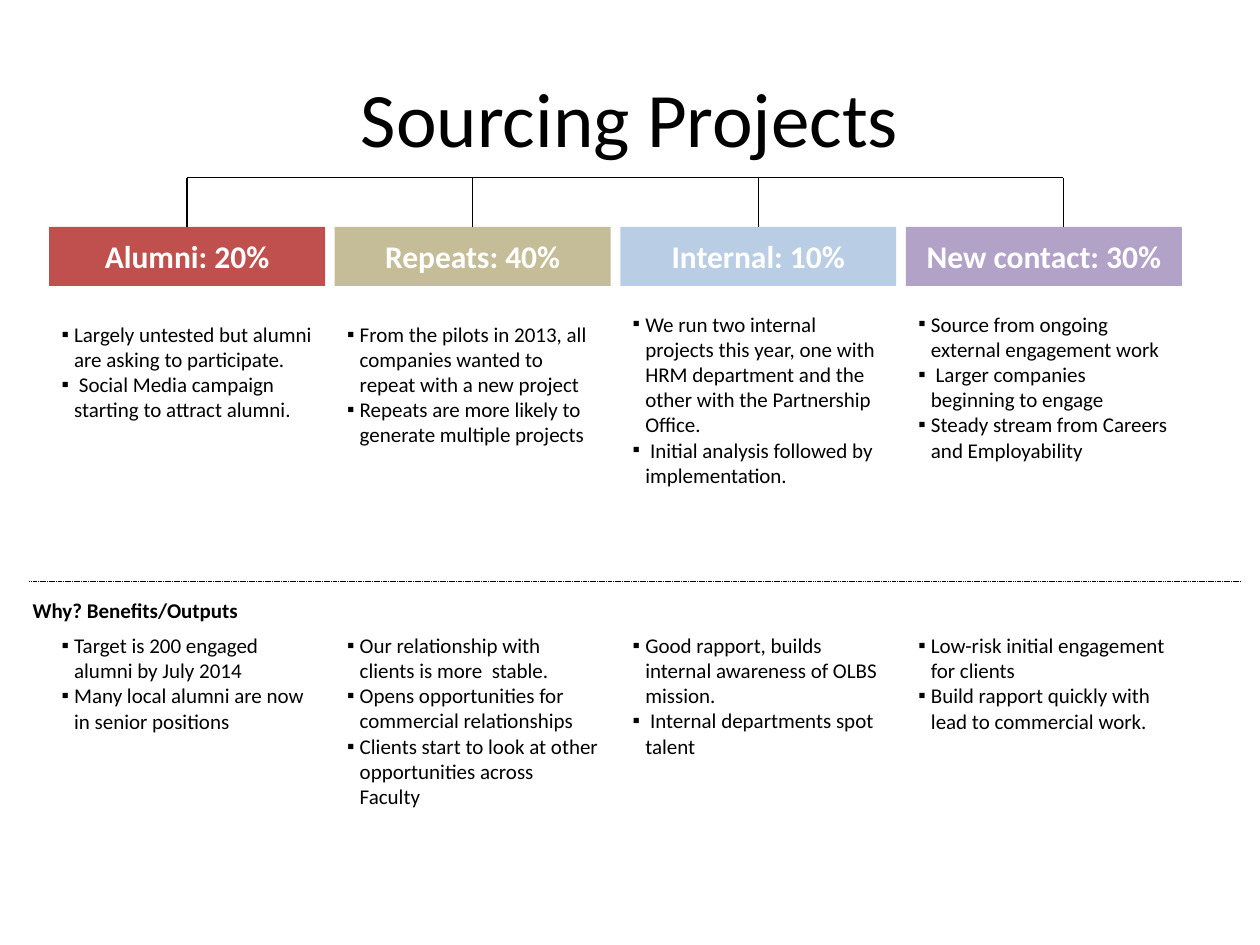
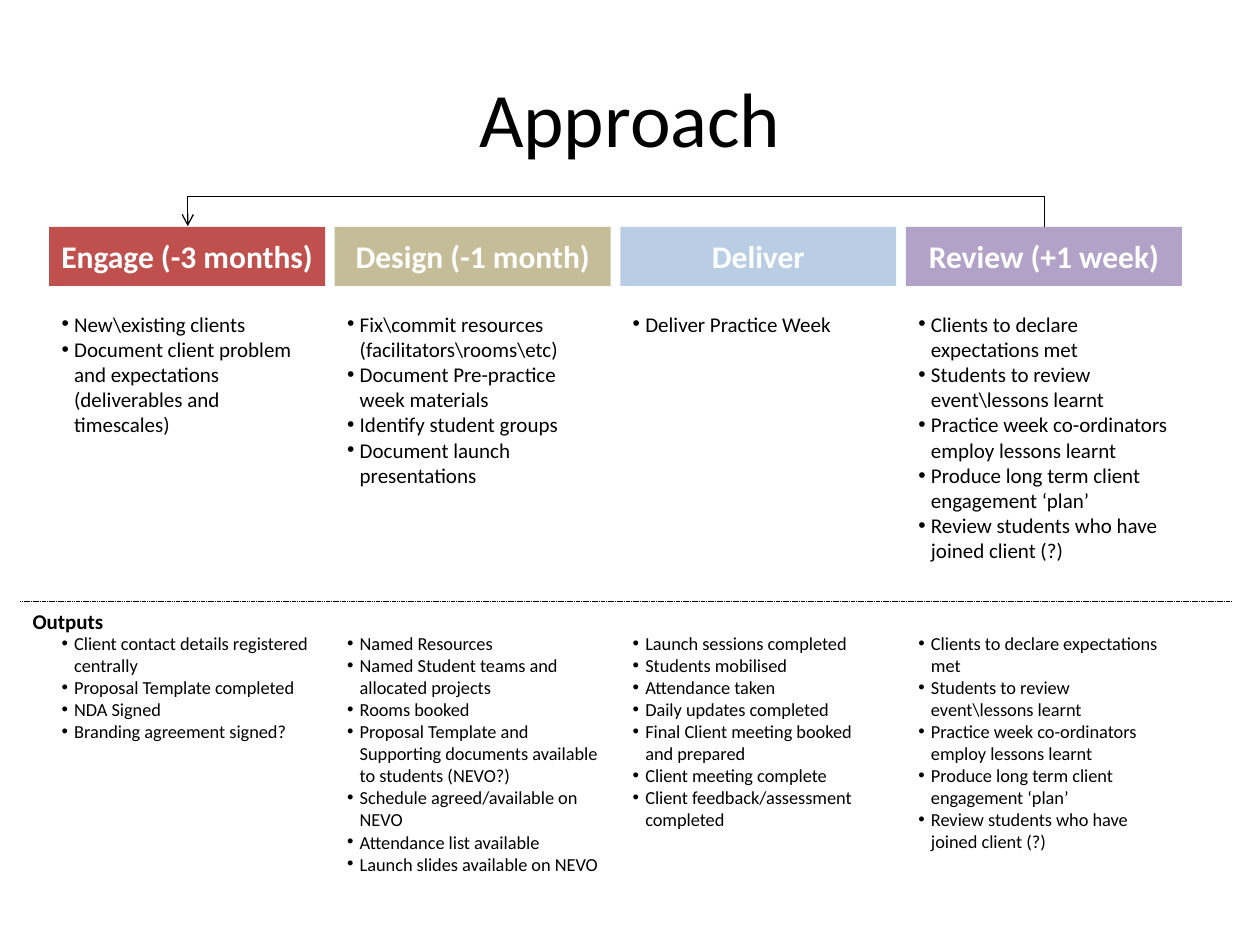
from pptx import Presentation
from pptx.dml.color import RGBColor as RGB
from pptx.enum.dml import MSO_LINE as Dash
from pptx.enum.shapes import MSO_CONNECTOR as Link, MSO_SHAPE as Shape
from pptx.enum.text import MSO_ANCHOR as Anchor, MSO_AUTO_SIZE as Auto, PP_ALIGN as Align
from pptx.oxml.ns import qn
from pptx.util import Inches, Pt
from lxml.etree import SubElement as Sub

hues = {"red": "C0504D", "tan": "C4BD97", "blue": "B9CDE5",
        "plum": "B3A2C7", "ink": "000000", "white": "FFFFFF"}
bands = ["red", "tan", "blue", "plum"]
font = "Calibri"
left, wide, step = 0.39, 2.19, 6.8 / 3
top, tall = 1.8, 0.47
mids = [left + wide / 2 + i * step for i in range(4)]

review = ["Clients to declare expectations met ",
          "Students to review event\\lessons learnt",
          "Practice week co-ordinators employ lessons learnt",
          "Produce long term client engagement ‘plan’",
          "Review students who have joined client (?)"]

pages = [
    {"title": "Sourcing Projects", "mark": "▪", "size": 12,
     "heads": ["Alumni: 20%", "Repeats: 40%", "Internal: 10%", "New contact: 30%"],
     "label": "Why? Benefits/Outputs", "label_y": 4.69, "rule": (0.23, 4.61),
     "upper": [
         (2.5, 0.91, ["Largely untested but alumni are asking to participate. ",
                      " Social Media campaign starting to attract alumni."]),
         (2.5, 1.11, ["From the pilots in 2013, all companies wanted to repeat with a new project",
                      "Repeats are more likely to generate multiple projects"]),
         (2.42, 1.51, ["We run two internal projects this year, one with HRM department "
                       "and the other with the Partnership Office.",
                       " Initial analysis followed by implementation."]),
         (2.42, 1.31, ["Source from ongoing external engagement work",
                       " Larger companies beginning to engage",
                       "Steady stream from Careers and Employability"])],
     "lower": [
         (4.97, 0.91, ["Target is 200 engaged alumni by July 2014",
                       "Many local alumni are now in senior positions"]),
         (4.97, 1.87, ["Our relationship with clients is more  stable.",
                       "Opens opportunities for commercial relationships",
                       "Clients start to look at other opportunities across Faculty"]),
         (4.97, 1.46, ["Good rapport, builds internal awareness of OLBS mission.",
                       " Internal departments spot talent"]),
         (4.97, 0.91, ["Low-risk initial engagement for clients",
                       "Build rapport quickly with lead to commercial work."])]},
    {"title": "Approach", "mark": "•", "size": 10.5,
     "heads": ["Engage (-3 months)", "Design (-1 month)", "Deliver", "Review (+1 week)"],
     "label": "Outputs", "label_y": 4.78, "rule": (0.16, 4.77),
     "upper": [
         (2.42, 1.11, ["New\\existing clients",
                       "Document client problem and expectations (deliverables and timescales)"]),
         (2.42, 1.51, ["Fix\\commit resources (facilitators\\rooms\\etc)",
                       "Document Pre-practice week materials",
                       "Identify student groups",
                       "Document launch presentations"]),
         (2.42, 0.3, ["Deliver Practice Week"]),
         (2.42, 2.12, review)],
     "lower": [
         (4.97, 0.98, ["Client contact details registered centrally",
                       "Proposal Template completed",
                       "NDA Signed",
                       "Branding agreement signed?"]),
         (4.97, 2.22, ["Named Resources",
                       "Named Student teams and allocated projects",
                       "Rooms booked",
                       "Proposal Template and Supporting documents available to students (NEVO?)",
                       "Schedule agreed/available on NEVO",
                       "Attendance list available",
                       "Launch slides available on NEVO"]),
         (4.97, 2.04, ["Launch sessions completed",
                       "Students mobilised",
                       "Attendance taken",
                       "Daily updates completed",
                       "Final Client meeting booked and prepared",
                       "Client meeting complete",
                       "Client feedback/assessment completed "]),
         (4.97, 1.87, review)]},
]


def write(slide, x, y, high, lines, size, mark=None):
    box = slide.shapes.add_textbox(Inches(x), Inches(y), Inches(wide), Inches(high))
    frame = box.text_frame
    frame.word_wrap = True
    frame.auto_size = Auto.SHAPE_TO_FIT_TEXT
    frame.text = "\n".join(lines)
    for para in frame.paragraphs:
        para.level = 1
        para.font.name, para.font.size = font, Pt(size)
        para.font.bold = mark is None
        para.font.color.rgb = RGB.from_string(hues["ink"])
        props = para._p.get_or_add_pPr()
        props.set("marL", str(Inches(0.1)))
        props.set("indent", str(Inches(-0.1)))
        if mark:
            Sub(props, qn("a:buFont"), typeface="Arial")
            Sub(props, qn("a:buChar"), char=mark)


def draw(slide, x1, y1, x2, y2, weight=0.75, kind=Link.STRAIGHT):
    line = slide.shapes.add_connector(kind, Inches(x1), Inches(y1), Inches(x2), Inches(y2))
    line.line.color.rgb = RGB.from_string(hues["ink"])
    line.line.width = Pt(weight)
    Sub(line._element.spPr, qn("a:effectLst"))
    return line


deck = Presentation()
deck.slide_width, deck.slide_height = Inches(10), Inches(7.5)
slides = []
for page in pages:
    slide = deck.slides.add_slide(deck.slide_layouts[5])
    slides.append(slide)
    title = slide.shapes.title
    title.left, title.top = Inches(0.5), Inches(0.3)
    title.width, title.height = Inches(9), Inches(1.25)
    title.text_frame.text = page["title"]
    title.text_frame.vertical_anchor = Anchor.MIDDLE
    para = title.text_frame.paragraphs[0]
    para.alignment = Align.CENTER
    para.font.name, para.font.size = font, Pt(44)
    para.font.color.rgb = RGB.from_string(hues["ink"])

    for i, (head, band) in enumerate(zip(page["heads"], bands)):
        x = left + i * step
        bar = slide.shapes.add_shape(Shape.RECTANGLE, Inches(x), Inches(top),
                                     Inches(wide), Inches(tall))
        bar.shadow.inherit = False
        bar.fill.solid()
        bar.fill.fore_color.rgb = RGB.from_string(hues[band])
        bar.line.fill.background()
        frame = bar.text_frame
        frame.margin_left = frame.margin_right = Inches(0.04)
        frame.margin_top = frame.margin_bottom = Inches(0.04)
        frame.vertical_anchor = Anchor.MIDDLE
        frame.text = head
        para = frame.paragraphs[0]
        para.alignment = Align.CENTER
        para.font.name, para.font.size, para.font.bold = font, Pt(18), True
        para.font.color.rgb = RGB.from_string(hues["white"])
        for part, size in (("upper", 12), ("lower", page["size"])):
            y, high, lines = page[part][i]
            write(slide, x, y, high, lines, size, page["mark"])

    x, y = page["rule"]
    rule = draw(slide, x, y, x + 9.61, y, 0.25)
    rule.line.dash_style = Dash.SQUARE_DOT
    write(slide, 0.16, page["label_y"], 0.3, [page["label"]], 12)

source, plan = slides
drops = mids[:3] + [8.44]
draw(source, drops[0], 1.41, drops[-1], 1.41)
for x in drops:
    draw(source, x, 1.41, x, top)

mid, half = (mids[0] + mids[3]) / 2, (mids[3] - mids[0]) / 2
loop = draw(plan, mid, top + half, mid + 0.01, top - half, kind=Link.ELBOW)
props = loop._element.spPr
props.find(qn("a:xfrm")).set("rot", str(270 * 60000))
shape = props.find(qn("a:prstGeom"))
Sub(shape.find(qn("a:avLst")), qn("a:gd"), name="adj1", fmla="val 2500000")
Sub(props.find(qn("a:ln")), qn("a:tailEnd"), type="arrow")

deck.save("out.pptx")
